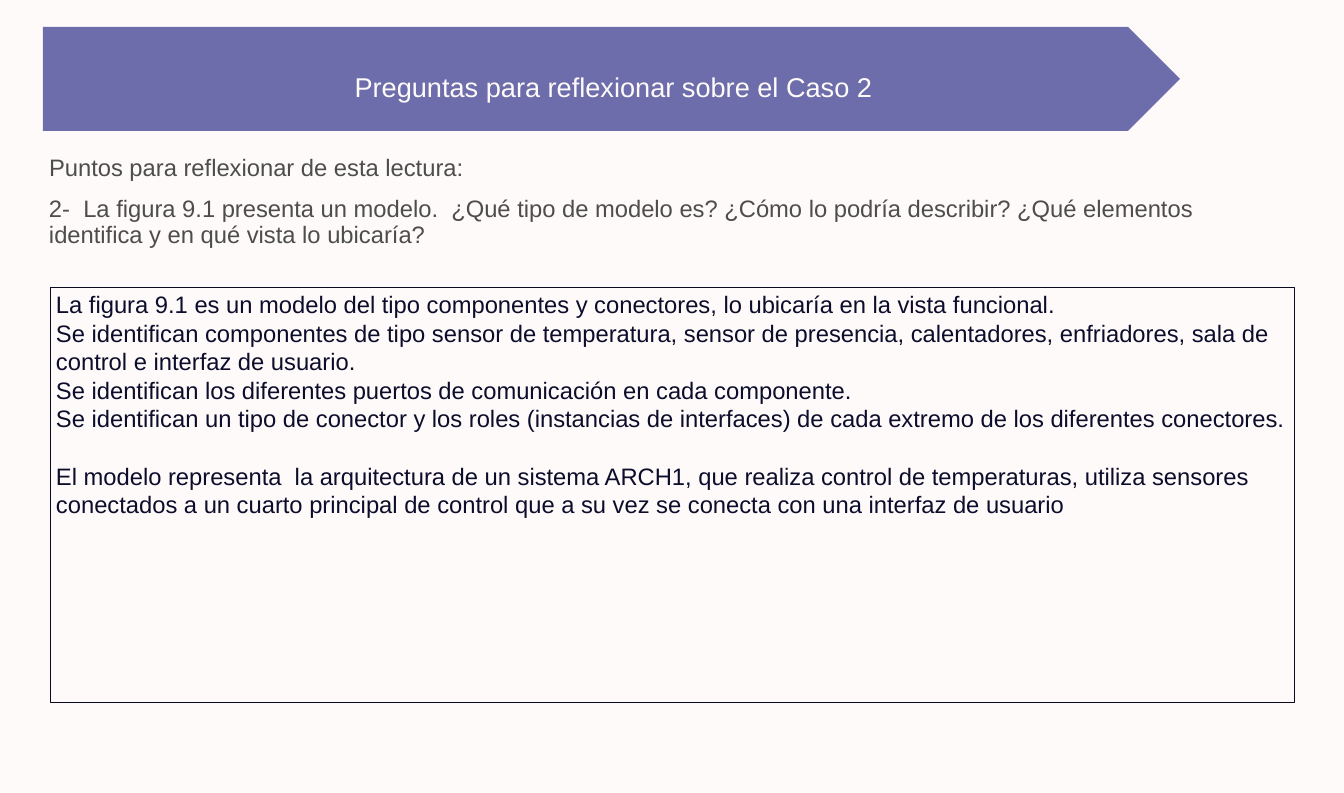
from lxml.etree import SubElement
from pptx import Presentation
from pptx.dml.color import RGBColor
from pptx.enum.shapes import MSO_SHAPE
from pptx.enum.text import MSO_ANCHOR, PP_ALIGN
from pptx.oxml.ns import qn
from pptx.util import Emu, Pt

EMU_PER_PX = 14966
FONT = "Arial"
PAPER, INDIGO, GREY, NAVY, BORDER = "FEFAFA", "252884", "4C4D4C", "0C0D2B", "090A20"

ANSWER = [
    "La figura 9.1 es un modelo del tipo componentes y conectores, lo ubicaría en la vista funcional.",
    "Se identifican componentes de tipo sensor de temperatura, sensor de presencia, calentadores, "
    "enfriadores, sala de control e interfaz de usuario.",
    "Se identifican los diferentes puertos de comunicación en cada componente.",
    "Se identifican un tipo de conector y los roles (instancias de interfaces) de cada extremo "
    "de los diferentes conectores.",
    "El modelo representa  la arquitectura de un sistema ARCH1, que realiza control de temperaturas, "
    "utiliza sensores conectados a un cuarto principal de control que a su vez se conecta con una "
    "interfaz de usuario",
]


def px(n):
    return Emu(n * EMU_PER_PX)


def rgb(value):
    return RGBColor.from_string(value)


def write(sp, lines, size, color, anchor, align=PP_ALIGN.LEFT, spacing=None):
    tf = sp.text_frame
    tf.word_wrap = True
    tf.vertical_anchor = anchor
    for i, line in enumerate(lines):
        p = tf.paragraphs[0] if i == 0 else tf.add_paragraph()
        p.text = line
        p.alignment = align
        p.line_spacing = spacing
        p.font.name = FONT
        p.font.size = Pt(size)
        p.font.color.rgb = rgb(color)
    return tf.paragraphs


def add_text(s, box, text):
    sp = s.shapes.add_textbox(*map(px, box))
    write(sp, [text], 28, GREY, MSO_ANCHOR.MIDDLE, spacing=0.9)


def add_banner(s, box, text):
    sp = s.shapes.add_shape(MSO_SHAPE.PENTAGON, *map(px, box))
    sp.shadow.inherit = False
    sp.fill.solid()
    sp.fill.fore_color.rgb = rgb(INDIGO)
    sp.line.fill.background()
    # Let the background show through the fill
    color = sp.fill._xPr.find(qn("a:solidFill"))[0]
    SubElement(color, qn("a:alpha"), val="67000")
    p = write(sp, [text], 32, PAPER, MSO_ANCHOR.MIDDLE, PP_ALIGN.CENTER, 1.5)[0]
    p.space_before = Pt(6)
    p._p.get_or_add_pPr().set("marL", "457200")


def add_answer_box(s, box, lines):
    sp = s.shapes.add_shape(MSO_SHAPE.RECTANGLE, *map(px, box))
    sp.shadow.inherit = False
    sp.fill.background()
    sp.line.color.rgb = rgb(BORDER)
    sp.line.width = Pt(1)
    paragraphs = write(sp, lines, 28, NAVY, MSO_ANCHOR.TOP)
    # The closing summary stands one line apart
    paragraphs[-1].space_before = Pt(34)


def main():
    prs = Presentation()
    prs.slide_width, prs.slide_height = px(1344), px(793)
    s = prs.slides.add_slide(prs.slide_layouts[6])
    s.background.fill.solid()
    s.background.fill.fore_color.rgb = rgb(PAPER)

    # Heading
    add_banner(s, (43, 27, 1137, 104), "Preguntas para reflexionar sobre el Caso 2")

    # Question
    add_text(s, (43, 145, 769, 48), "Puntos para reflexionar de esta lectura:")
    add_text(s, (43, 192, 1220, 61),
             "2-  La figura 9.1 presenta un modelo.  ¿Qué tipo de modelo es? ¿Cómo lo podría "
             "describir? ¿Qué elementos identifica y en qué vista lo ubicaría?")

    # Answer
    add_answer_box(s, (50, 287, 1244, 415), ANSWER)

    prs.save("out.pptx")


if __name__ == "__main__":
    main()
